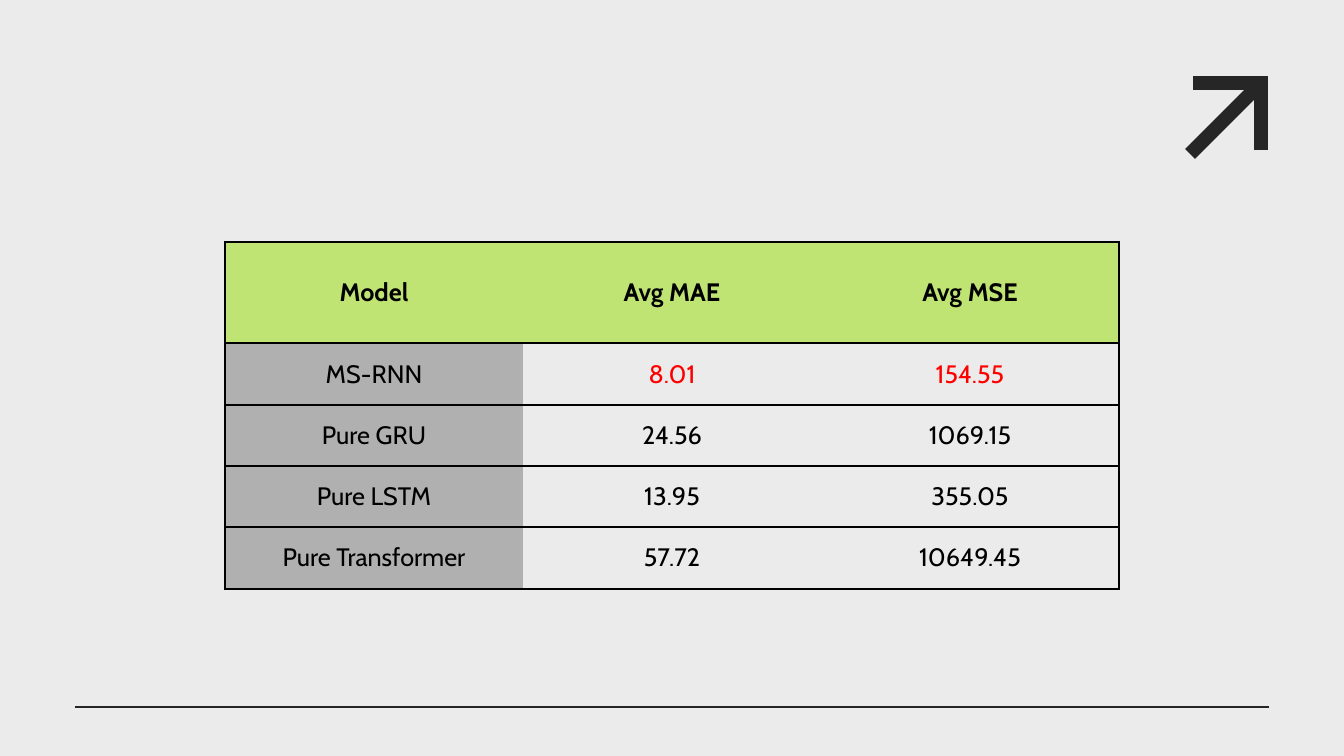
"""Build a slide that compares the average errors of four forecasting models."""
import dataclasses

import lxml.etree
import pptx
import pptx.dml.color
import pptx.enum.shapes
import pptx.enum.text
import pptx.oxml
import pptx.oxml.ns
import pptx.util

PX = pptx.util.Inches(1) / 100.8


@dataclasses.dataclass(frozen=True)
class Theme:
    background: str = "EBEBEB"
    ink: str = "262626"
    text: str = "000000"
    highlight: str = "FF0000"
    header: str = "C0E474"
    model: str = "B0B0B0"
    font: str = "Cabin"
    text_size: int = 18
    arrow_width: float = 10
    rule_width: float = 1.5
    border_width: float = 1


theme = Theme()


def px(length):
    return pptx.util.Emu(round(length * PX))


def add_line(ends, width):
    line = slide.shapes.add_connector(
        pptx.enum.shapes.MSO_CONNECTOR.STRAIGHT, *[px(value) for value in ends]
    )
    line.line.color.rgb = pptx.dml.color.RGBColor.from_string(theme.ink)
    line.line.width = pptx.util.Pt(width)
    lxml.etree.SubElement(line._element.spPr, pptx.oxml.ns.qn("a:effectLst"))
    return line


presentation = pptx.Presentation()
presentation.slide_width = px(1344)
presentation.slide_height = px(756)
slide = presentation.slides.add_slide(presentation.slide_layouts[6])
slide.background.fill.solid()
slide.background.fill.fore_color.rgb = pptx.dml.color.RGBColor.from_string(theme.background)

for ends in [(1200, 83, 1260, 83), (1261, 83, 1261, 143), (1195, 149, 1254, 90)]:
    arrow_stroke = add_line(ends, theme.arrow_width)
    arrow_stroke.line._ln.set("cap", "sq")

add_line((75, 707, 1269, 707), theme.rule_width)

results = [
    ("Model", "Avg MAE", "Avg MSE"),
    ("MS-RNN", "8.01", "154.55"),
    ("Pure GRU", "24.56", "1069.15"),
    ("Pure LSTM", "13.95", "355.05"),
    ("Pure Transformer", "57.72", "10649.45"),
]
best_row = 1
column_edges = [225, 523, 821, 1119]
row_edges = [242, 343, 405, 466, 527, 589]
table = slide.shapes.add_table(
    len(results), len(results[0]),
    px(column_edges[0]), px(row_edges[0]),
    px(column_edges[-1] - column_edges[0]), px(row_edges[-1] - row_edges[0]),
).table
table.horz_banding = False
for column, left, right in zip(table.columns, column_edges, column_edges[1:]):
    column.width = px(right - left)
for row, top, bottom in zip(table.rows, row_edges, row_edges[1:]):
    row.height = px(bottom - top)

for row_index, values in enumerate(results):
    for column_index, value in enumerate(values):
        cell = table.cell(row_index, column_index)
        is_header = row_index == 0
        is_model = column_index == 0
        is_best = row_index == best_row and not is_model

        if is_header or is_model:
            fill_color = theme.header if is_header else theme.model
            cell.fill.solid()
            cell.fill.fore_color.rgb = pptx.dml.color.RGBColor.from_string(fill_color)
        else:
            cell.fill.background()

        cell.vertical_anchor = pptx.enum.text.MSO_ANCHOR.MIDDLE
        cell.text_frame.text = value
        paragraph = cell.text_frame.paragraphs[0]
        paragraph.alignment = pptx.enum.text.PP_ALIGN.CENTER
        font = paragraph.runs[0].font
        font.name = theme.font
        font.size = pptx.util.Pt(theme.text_size)
        font.bold = is_header
        text_color = theme.highlight if is_best else theme.text
        font.color.rgb = pptx.dml.color.RGBColor.from_string(text_color)

        borders = {
            "lnL": is_model,
            "lnR": column_index == len(values) - 1,
            "lnT": True,
            "lnB": True,
        }
        properties = cell._tc.get_or_add_tcPr()
        for position, (side, visible) in enumerate(borders.items()):
            paint = (
                f'<a:solidFill><a:srgbClr val="{theme.text}"/></a:solidFill>'
                if visible else "<a:noFill/>"
            )
            border = pptx.oxml.parse_xml(
                f'<a:{side} {pptx.oxml.ns.nsdecls("a")} '
                f'w="{pptx.util.Pt(theme.border_width)}">{paint}</a:{side}>'
            )
            properties.insert(position, border)

presentation.save("out.pptx")
